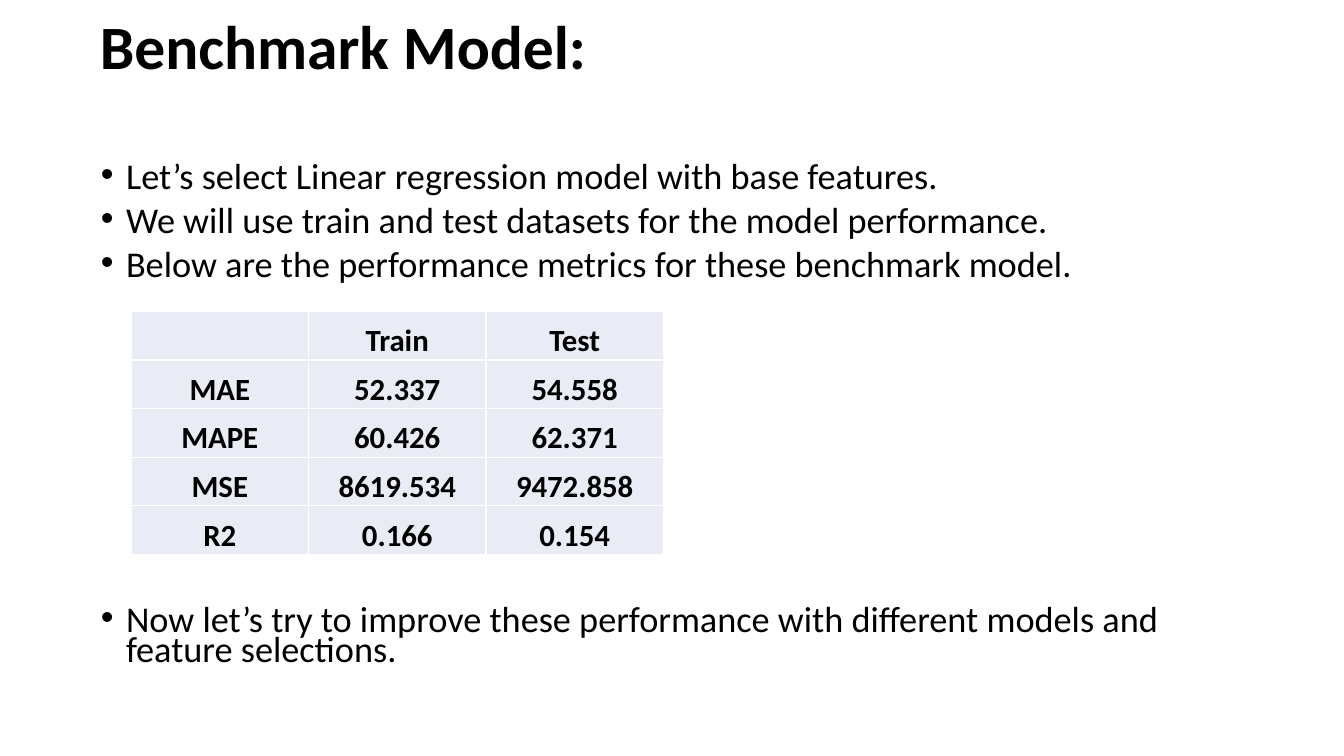
from dataclasses import dataclass

from lxml import etree
from pptx import Presentation
from pptx.dml.color import RGBColor
from pptx.enum.text import MSO_ANCHOR, MSO_AUTO_SIZE, PP_ALIGN
from pptx.oxml.ns import qn
from pptx.util import Inches, Pt

LEFT, CENTER = PP_ALIGN.LEFT, PP_ALIGN.CENTER
TOP, MIDDLE, BOTTOM = MSO_ANCHOR.TOP, MSO_ANCHOR.MIDDLE, MSO_ANCHOR.BOTTOM
NO_AUTOFIT = MSO_AUTO_SIZE.NONE


@dataclass(frozen=True)
class Theme:
    font: str = "Calibri"
    text: str = "000000"
    cell: str = "E9EBF5"
    border: str = "FFFFFF"
    title: float = 44
    body: float = 25.9
    table: float = 22


THEME = Theme()
BULLETS = [
    ("Let’s select Linear regression model with base features.", 9.6),
    ("We will use train and test datasets for the model performance.", 9.6),
    ("Below are the performance metrics for these benchmark model.", 9.6),
    ("Now let’s try to improve these performance with different models "
     "and feature selections.", 231.5),
]
METRICS = [
    ("", "Train", "Test"),
    ("MAE", "52.337", "54.558"),
    ("MAPE", "60.426", "62.371"),
    ("MSE", "8619.534", "9472.858"),
    ("R2", "0.166", "0.154"),
]


def add_run(p, text, size, bold=False):
    r = p.add_run()
    r.text = text
    r.font.name = THEME.font
    r.font.size = Pt(size)
    r.font.bold = bold
    r.font.color.rgb = RGBColor.from_string(THEME.text)


def place(sp, box, anchor):
    sp.left, sp.top, sp.width, sp.height = (Inches(v) for v in box)
    tf = sp.text_frame
    tf.word_wrap = True
    tf.auto_size = NO_AUTOFIT
    tf.vertical_anchor = anchor
    return tf


def fill_title(sp, box, text):
    p = place(sp, box, MIDDLE).paragraphs[0]
    p.alignment = LEFT
    p.line_spacing = 0.9
    add_run(p, text, THEME.title, bold=True)


def fill_bullets(sp, box, bullets):
    tf = place(sp, box, TOP)
    for i, (text, gap) in enumerate(bullets):
        p = tf.add_paragraph() if i else tf.paragraphs[0]
        p.line_spacing = 0.7
        p.space_before = Pt(gap)
        pPr = p._p.get_or_add_pPr()
        pPr.set("marL", str(Inches(0.25)))
        pPr.set("indent", str(-Inches(0.25)))
        etree.SubElement(pPr, qn("a:buFont")).set("typeface", "Arial")
        etree.SubElement(pPr, qn("a:buChar")).set("char", "•")
        add_run(p, text, THEME.body)


def style_cell(cell):
    cell.vertical_anchor = BOTTOM
    cell.margin_left = cell.margin_right = cell.margin_top = Inches(0.01)
    cell.margin_bottom = 0
    tcPr = cell._tc.get_or_add_tcPr()
    for side in ("a:lnL", "a:lnR", "a:lnT", "a:lnB"):
        ln = etree.SubElement(tcPr, qn(side), w=str(Pt(1)))
        fill = etree.SubElement(ln, qn("a:solidFill"))
        etree.SubElement(fill, qn("a:srgbClr"), val=THEME.border)
    cell.fill.solid()
    cell.fill.fore_color.rgb = RGBColor.from_string(THEME.cell)


def add_metrics(s, box, rows):
    left, top, width, height = (Inches(v) for v in box)
    table = s.shapes.add_table(len(rows), len(rows[0]), left, top, width, height).table
    table.first_row = table.horz_banding = False
    for i, row in enumerate(rows):
        for j, text in enumerate(row):
            cell = table.cell(i, j)
            style_cell(cell)
            if text:
                p = cell.text_frame.paragraphs[0]
                p.alignment = CENTER
                add_run(p, text, THEME.table, bold=True)


def build_benchmark(prs):
    s = prs.slides.add_slide(prs.slide_layouts[1])
    fill_title(s.shapes.title, (0.89, 0, 11.37, 0.98), "Benchmark Model:")
    fill_bullets(s.placeholders[1], (0.9, 1.59, 11.52, 5.16), BULLETS)
    add_metrics(s, (1.3, 3.09, 5.28, 2.41), METRICS)


def main():
    prs = Presentation()
    prs.slide_width, prs.slide_height = Inches(13.33), Inches(7.5)
    build_benchmark(prs)
    prs.save("out.pptx")


if __name__ == "__main__":
    main()
